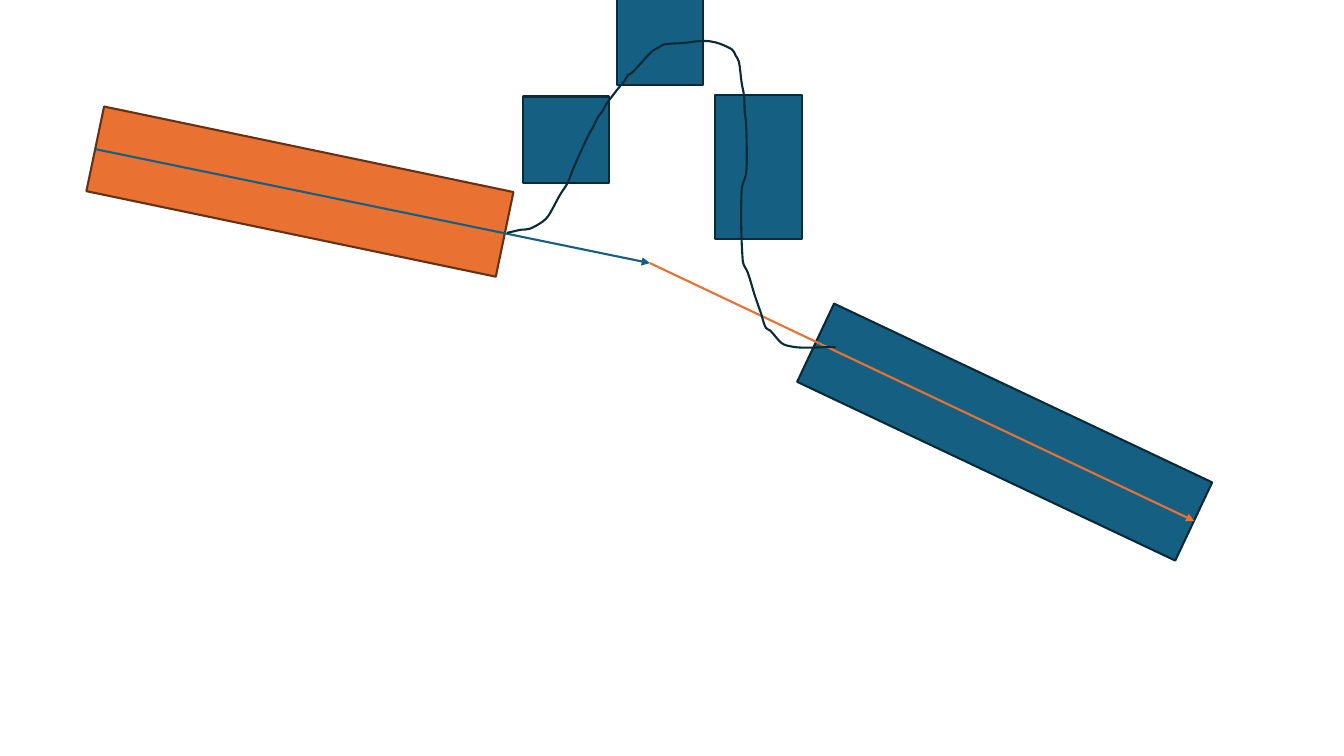
from math import dist, hypot

from lxml.etree import SubElement
from pptx import Presentation
from pptx.dml.color import RGBColor
from pptx.enum.shapes import MSO_CONNECTOR as CONN, MSO_SHAPE as SHAPE
from pptx.oxml.ns import qn
from pptx.util import Cm, Pt

ORANGE = RGBColor(0xE9, 0x71, 0x32)
BROWN = RGBColor(0x66, 0x32, 0x16)
BLUE = RGBColor(0x15, 0x60, 0x82)
NAVY = RGBColor(0x09, 0x2A, 0x39)
LINE_WIDTH = Pt(1.5)

# Content, in centimetres
BAR, SIDE = (10.54, 2.18), 2.18
BLOCKS = [  # left, top, (width, height), rotation, fill, outline
    (2.29, 3.74, BAR, 11.8, ORANGE, BROWN),
    (13.17, 2.43, (SIDE, SIDE), 180, BLUE, NAVY),
    (15.54, -0.03, (SIDE, SIDE), 270, BLUE, NAVY),
    (18.03, 2.4, (SIDE, 3.63), 0, BLUE, NAVY),
    (20.05, 9.8, BAR, 25.3, BLUE, NAVY),
]
JOINT = (16.38, 6.63)
ARROWS = [  # start, end, colour
    (JOINT, (30.1, 13.13), ORANGE),
    ((2.41, 3.76), JOINT, BLUE),
]
CABLE = [
    (12.78, 5.87), (13.13, 5.79), (13.34, 5.77), (13.67, 5.59), (13.82, 5.44),
    (14.12, 4.9), (14.3, 4.62), (14.43, 4.29), (14.81, 3.45), (14.96, 3.18),
    (15.06, 2.97), (15.19, 2.79), (15.27, 2.64), (15.44, 2.41), (15.62, 2.18),
    (15.75, 2.03), (15.82, 1.9), (15.93, 1.83), (16.43, 1.3), (16.61, 1.19),
    (16.74, 1.12), (17.15, 1.09), (17.88, 1.04), (18.44, 1.24), (18.54, 1.4),
    (18.62, 1.55), (18.69, 2.08), (18.75, 2.41), (18.77, 2.84), (18.8, 3.07),
    (18.82, 3.91), (18.8, 4.39), (18.69, 4.78), (18.72, 6.58), (18.85, 6.88),
    (19.02, 7.44), (19.1, 7.67), (19.18, 7.9), (19.3, 8.26), (19.41, 8.33),
    (19.69, 8.64), (19.84, 8.71), (20.2, 8.76), (21.06, 8.74),
]


def set_line(shape, color):
    shape.line.width = LINE_WIDTH
    shape.line.color.rgb = color


def directions(points):
    """Unit tangent at each point, along the chord of its neighbours."""
    padded = [points[0], *points, points[-1]]
    for (x1, y1), (x2, y2) in zip(padded, padded[2:]):
        length = hypot(x2 - x1, y2 - y1)
        yield (x2 - x1) / length, (y2 - y1) / length


def bend(freeform):
    """Turn the straight pieces of a freeform into smooth Bezier pieces."""
    outline = next(freeform._element.iter(qn("a:path")))
    points = [(int(pt.get("x")), int(pt.get("y"))) for pt in outline.iter(qn("a:pt"))]
    tangents = list(directions(points))
    pieces = outline.findall(qn("a:lnTo"))
    for piece, a, b, u, v in zip(pieces, points, points[1:], tangents, tangents[1:]):
        reach = dist(a, b) / 3
        handles = [(a[0] + u[0] * reach, a[1] + u[1] * reach),
                   (b[0] - v[0] * reach, b[1] - v[1] * reach)]
        outline.remove(piece)
        curve = SubElement(outline, qn("a:cubicBezTo"))
        for x, y in handles + [b]:
            SubElement(curve, qn("a:pt"), x=str(round(x)), y=str(round(y)))


prs = Presentation()
prs.slide_width, prs.slide_height = Cm(33.87), Cm(19.05)
s = prs.slides.add_slide(prs.slide_layouts[6])

# Blocks
for left, top, (width, height), rotation, fill, outline in BLOCKS:
    sp = s.shapes.add_shape(SHAPE.RECTANGLE, Cm(left), Cm(top), Cm(width), Cm(height))
    sp.rotation = rotation
    sp.shadow.inherit = False
    sp.fill.solid()
    sp.fill.fore_color.rgb = fill
    set_line(sp, outline)

# Arrows
for start, end, color in ARROWS:
    cn = s.shapes.add_connector(CONN.STRAIGHT, *(Cm(v) for v in start + end))
    set_line(cn, color)
    SubElement(cn.line._get_or_add_ln(), qn("a:tailEnd"), type="triangle")
    SubElement(cn._element.spPr, qn("a:effectLst"))

# Cable
first, *rest = [(Cm(x), Cm(y)) for x, y in CABLE]
builder = s.shapes.build_freeform(*first)
builder.add_line_segments(rest, close=False)
cable = builder.convert_to_shape()
bend(cable)
cable.shadow.inherit = False
cable.fill.background()
set_line(cable, NAVY)

prs.save("out.pptx")
